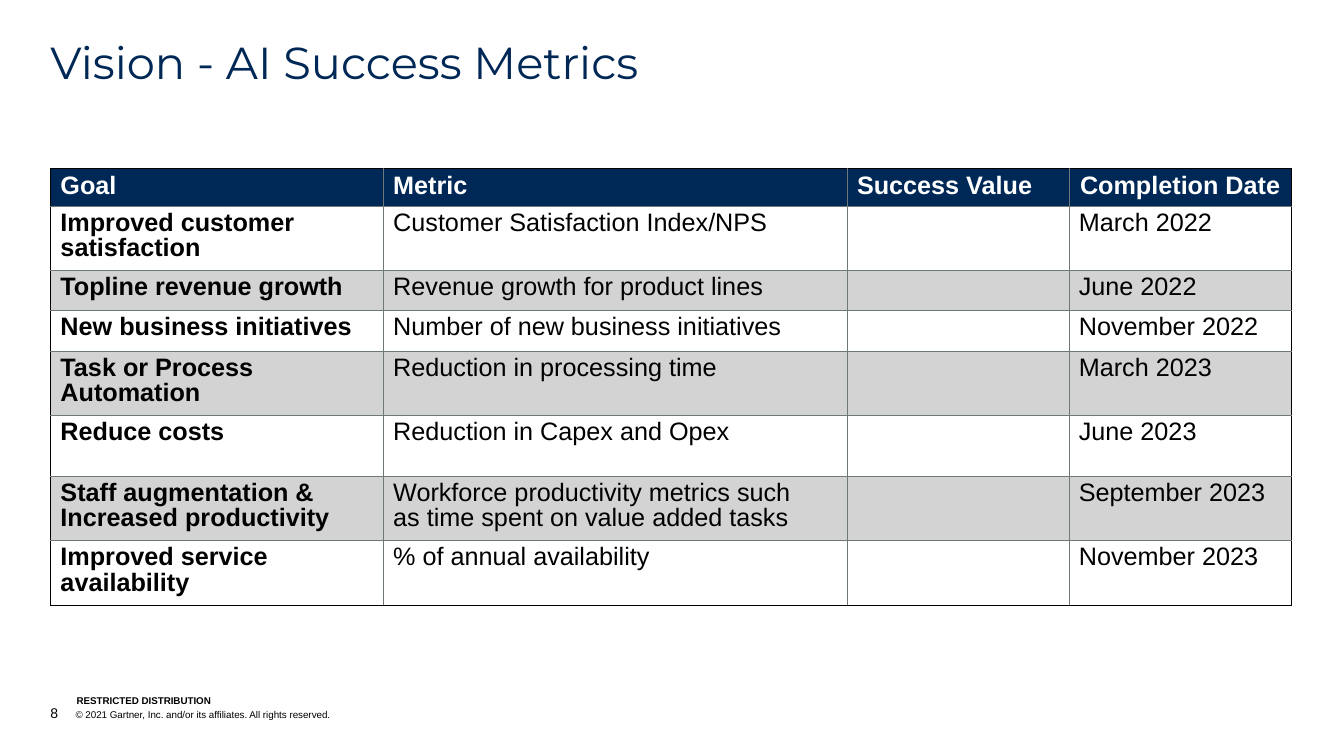
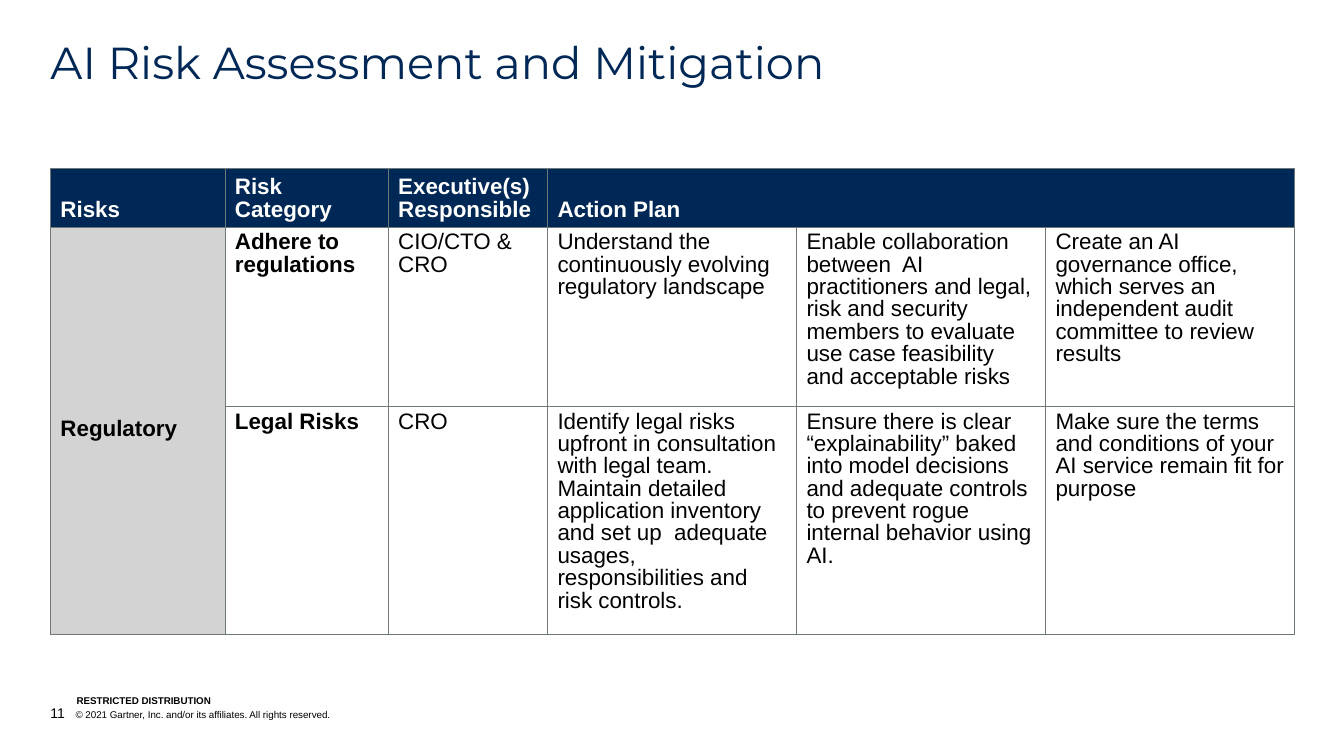
from dataclasses import dataclass
from typing import Optional

from lxml import etree
from pptx import Presentation
from pptx.dml.color import RGBColor
from pptx.enum.text import MSO_ANCHOR, PP_ALIGN
from pptx.oxml.ns import qn
from pptx.util import Inches, Pt

TOP, MIDDLE, BOTTOM = MSO_ANCHOR.TOP, MSO_ANCHOR.MIDDLE, MSO_ANCHOR.BOTTOM
LEFT, CENTER = PP_ALIGN.LEFT, PP_ALIGN.CENTER


@dataclass(frozen=True)
class Theme:
    navy: str = "002856"
    black: str = "000000"
    white: str = "FFFFFF"
    band: str = "D3D3D3"
    grid: str = "6F7878"
    title_font: str = "Montserrat"
    body_font: str = "Arial"
    title_size: float = 32
    number_size: float = 10
    footer_size: float = 7
    line_spacing: float = 0.9
    grid_width: float = 0.25


THEME = Theme()
MARGIN, TABLE_TOP = 0.5, 1.67
FOOTER_INDENT = 0.25


@dataclass(frozen=True)
class Row:
    height: float
    texts: tuple[Optional[str], ...]  # None continues a merged cell


@dataclass(frozen=True)
class TableDesign:
    widths: tuple[float, ...]
    rows: tuple[Row, ...]
    text_size: float
    header_anchor: MSO_ANCHOR
    bold_columns: int
    outer_colour: str = THEME.grid
    banded: bool = False
    grouped: bool = False
    centered_header: Optional[int] = None
    merges: tuple[tuple[int, int, int, int], ...] = ()


@dataclass(frozen=True)
class TableSlide:
    number: int
    title: str
    table: TableDesign


METRICS = TableDesign(
    widths=(3.3, 4.6, 2.2, 2.21),
    rows=(
        Row(0.36, ("Goal", "Metric", "Success Value", "Completion Date")),
        Row(0.6, ("Improved customer satisfaction", "Customer Satisfaction Index/NPS", "", "March 2022")),
        Row(0.38, ("Topline revenue growth", "Revenue growth for product lines", "", "June 2022")),
        Row(0.38, ("New business initiatives", "Number of new business initiatives", "", "November 2022")),
        Row(0.6, ("Task or Process Automation", "Reduction in processing time", "", "March 2023")),
        Row(0.6, ("Reduce costs", "Reduction in Capex and Opex", "", "June 2023")),
        Row(0.6, (
            "Staff augmentation & Increased productivity",
            "Workforce productivity metrics such\nas time spent on value added tasks",
            "",
            "September 2023",
        )),
        Row(0.6, ("Improved service availability", "% of annual availability", "", "November 2023")),
    ),
    text_size=18,
    header_anchor=MIDDLE,
    bold_columns=1,
    outer_colour=THEME.black,
    banded=True,
    centered_header=3,
)

RISKS = TableDesign(
    widths=(1.73, 1.62, 1.58, 2.47, 2.47, 2.47),
    rows=(
        Row(0.54, ("Risks", "Risk\nCategory", "Executive(s)\nResponsible", "Action Plan", None, None)),
        Row(1.65, (
            "Regulatory",
            "Adhere to\nregulations",
            "CIO/CTO &\nCRO",
            "Understand the continuously evolving regulatory landscape",
            "Enable collaboration between  AI practitioners and legal, risk and security "
            "members to evaluate use case feasibility and acceptable risks",
            "Create an AI governance office, which serves an independent audit committee "
            "to review results",
        )),
        Row(2.09, (
            None,
            "Legal Risks",
            "CRO",
            "Identify legal risks upfront in consultation with legal team. Maintain detailed "
            "application inventory and set up  adequate usages, responsibilities and risk controls.",
            "Ensure there is clear “explainability” baked into model decisions and adequate "
            "controls to prevent rogue internal behavior using AI.",
            "Make sure the terms and conditions of your AI service remain fit for purpose",
        )),
    ),
    text_size=16,
    header_anchor=BOTTOM,
    bold_columns=2,
    grouped=True,
    merges=((0, 3, 0, 5), (1, 0, 2, 0)),
)

SLIDES = (
    TableSlide(8, "Vision - AI Success Metrics", METRICS),
    TableSlide(11, "AI Risk Assessment and Mitigation", RISKS),
)


def style_font(font, size: float, colour: str, name: str = THEME.body_font, bold: bool = False) -> None:
    font.name = name
    font.size = Pt(size)
    font.bold = bold
    font.color.rgb = RGBColor.from_string(colour)


def add_text_box(slide, left: float, top: float, width: float, height: float, anchor: MSO_ANCHOR):
    """Add a wrapping box without insets and return its first paragraph."""
    box = slide.shapes.add_textbox(Inches(left), Inches(top), Inches(width), Inches(height))
    frame = box.text_frame
    frame.word_wrap = True
    frame.vertical_anchor = anchor
    frame.margin_left = frame.margin_top = frame.margin_right = frame.margin_bottom = 0
    return frame.paragraphs[0]


def add_title(slide, title: str) -> None:
    paragraph = add_text_box(slide, MARGIN, 0.4, 12.33, 0.49, TOP)
    paragraph.text = title
    paragraph.line_spacing = THEME.line_spacing
    style_font(paragraph.runs[0].font, THEME.title_size, THEME.navy, THEME.title_font)


def add_footer(slide, number: int) -> None:
    notice = add_text_box(slide, 0.76, 6.89, 2.53, 0.12, BOTTOM)
    notice.text = "RESTRICTED DISTRIBUTION"
    style_font(notice.runs[0].font, THEME.footer_size, THEME.black, bold=True)

    copyright_line = add_text_box(slide, MARGIN, 6.99, 7.99, 0.17, BOTTOM)
    properties = copyright_line._p.get_or_add_pPr()
    properties.set("marL", str(Inches(FOOTER_INDENT)))
    properties.set("indent", str(-Inches(FOOTER_INDENT)))
    for text, size in (
        (str(number), THEME.number_size),
        ("\t© 2021 Gartner, Inc. and/or its affiliates. All rights reserved.", THEME.footer_size),
    ):
        run = copyright_line.add_run()
        run.text = text
        style_font(run.font, size, THEME.black)


def set_borders(cell, colours: dict[str, str]) -> None:
    """Draw borders keyed L, R, T, B; call before the fill is set."""
    properties = cell._tc.get_or_add_tcPr()
    for side, colour in colours.items():
        line = etree.SubElement(properties, qn(f"a:ln{side}"), w=str(Pt(THEME.grid_width)))
        fill = etree.SubElement(line, qn("a:solidFill"))
        etree.SubElement(fill, qn("a:srgbClr"), val=colour)


def cell_fill(design: TableDesign, row: int, column: int) -> str:
    if row == 0:
        return THEME.navy
    if design.grouped and column == 0 or design.banded and row % 2 == 0:
        return THEME.band
    return THEME.white


def cell_anchor(design: TableDesign, row: int, column: int) -> MSO_ANCHOR:
    if row == 0:
        return design.header_anchor
    return MIDDLE if design.grouped and column == 0 else TOP


def format_cell(cell, design: TableDesign, row: int, column: int) -> None:
    on_edge = {
        "L": column == 0,
        "R": column == len(design.widths) - 1,
        "T": row == 0,
        "B": row == len(design.rows) - 1,
    }
    set_borders(cell, {side: design.outer_colour if edge else THEME.grid for side, edge in on_edge.items()})
    cell.fill.solid()
    cell.fill.fore_color.rgb = RGBColor.from_string(cell_fill(design, row, column))
    cell.vertical_anchor = cell_anchor(design, row, column)

    paragraph = cell.text_frame.paragraphs[0]
    paragraph.text = design.rows[row].texts[column] or ""
    paragraph.line_spacing = THEME.line_spacing
    paragraph.alignment = CENTER if row == 0 and column == design.centered_header else LEFT
    is_header = row == 0
    for run in paragraph.runs:
        style_font(
            run.font,
            design.text_size,
            THEME.white if is_header else THEME.black,
            bold=is_header or column < design.bold_columns,
        )


def add_table(slide, design: TableDesign) -> None:
    height = sum(row.height for row in design.rows)
    table = slide.shapes.add_table(
        len(design.rows), len(design.widths),
        Inches(MARGIN), Inches(TABLE_TOP), Inches(sum(design.widths)), Inches(height),
    ).table
    table.first_row = table.horz_banding = False
    for column, width in zip(table.columns, design.widths):
        column.width = Inches(width)
    for row_index, row in enumerate(design.rows):
        table.rows[row_index].height = Inches(row.height)
        for column_index in range(len(design.widths)):
            format_cell(table.cell(row_index, column_index), design, row_index, column_index)
    for first_row, first_column, last_row, last_column in design.merges:
        table.cell(first_row, first_column).merge(table.cell(last_row, last_column))


def main() -> None:
    presentation = Presentation()
    presentation.slide_width = Inches(13.33)
    presentation.slide_height = Inches(7.5)
    blank_layout = presentation.slide_layouts[6]
    for content in SLIDES:
        slide = presentation.slides.add_slide(blank_layout)
        add_footer(slide, content.number)
        add_title(slide, content.title)
        add_table(slide, content.table)
    presentation.save("out.pptx")


if __name__ == "__main__":
    main()
